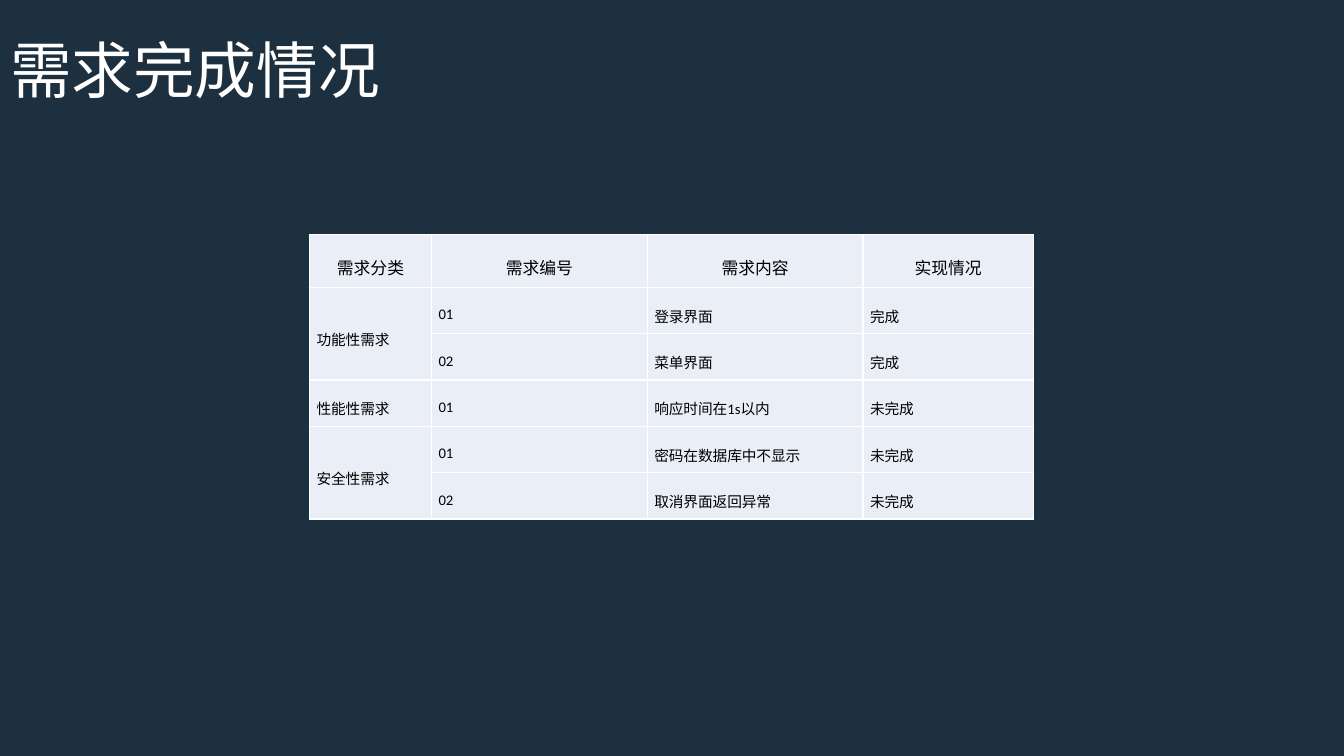
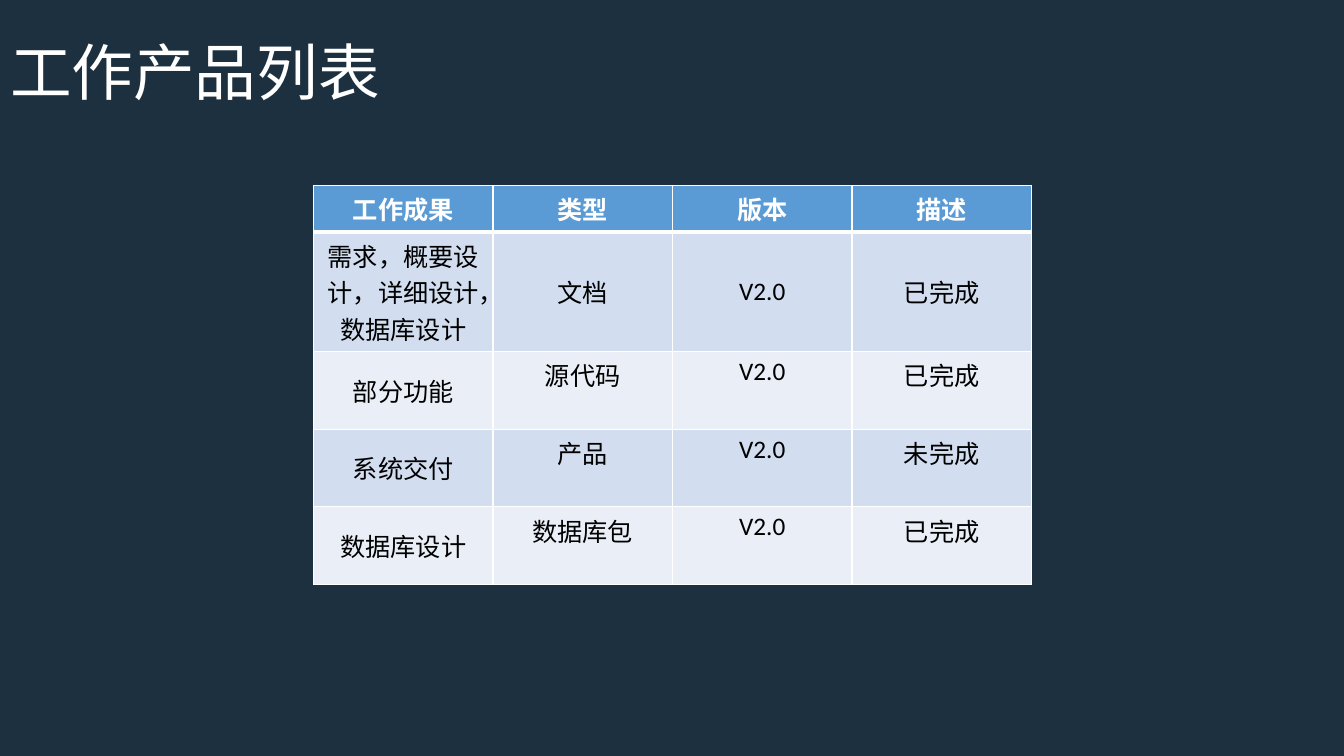
import pptx
import pptx.dml.color
import pptx.enum.lang
import pptx.enum.text
import pptx.oxml
import pptx.oxml.ns
import pptx.util

Inches = pptx.util.Inches
Pt = pptx.util.Pt
RGBColor = pptx.dml.color.RGBColor
ALIGN = pptx.enum.text.PP_ALIGN
ANCHOR = pptx.enum.text.MSO_ANCHOR

COLORS = {
    "background": "1D303F",
    "white": "FFFFFF",
    "black": "000000",
    "header": "5B9BD5",
    "band": "D2DEEF",
    "light": "EAEFF7",
}
FONT = "Calibri"


def format_paragraph(paragraph, size, color, alignment, bold=False):
    paragraph.alignment = alignment
    for run in paragraph.runs:
        run.font.name = FONT
        run.font.size = Pt(size)
        run.font.bold = bold
        run.font.color.rgb = RGBColor.from_string(COLORS[color])
        run.font.language_id = pptx.enum.lang.MSO_LANGUAGE_ID.SIMPLIFIED_CHINESE


def paint_cell(cell, fill, bottom_width=1):
    properties = cell._tc.get_or_add_tcPr()
    for side, width in (("L", 1), ("R", 1), ("T", 1), ("B", bottom_width)):
        properties.append(pptx.oxml.parse_xml(
            f'<a:ln{side} {pptx.oxml.ns.nsdecls("a")} w="{Pt(width)}">'
            f'<a:solidFill><a:srgbClr val="{COLORS["white"]}"/></a:solidFill>'
            f'</a:ln{side}>'
        ))
    cell.fill.solid()
    cell.fill.fore_color.rgb = RGBColor.from_string(COLORS[fill])


presentation = pptx.Presentation()
presentation.slide_width = Inches(13.33)
presentation.slide_height = Inches(7.5)
master_fill = presentation.slide_master.background.fill
master_fill.solid()
master_fill.fore_color.rgb = RGBColor.from_string(COLORS["background"])

requirements = [
    ["需求分类", "需求编号", "需求内容", "实现情况"],
    ["功能性需求", "01", "登录界面", "完成"],
    ["", "02", "菜单界面", "完成"],
    ["性能性需求", "01", "响应时间在1s以内", "未完成"],
    ["安全性需求", "01", "密码在数据库中不显示", "未完成"],
    ["", "02", "取消界面返回异常", "未完成"],
]
products = [
    ["工作成果", "类型", "版本", "描述"],
    ["需求，概要设计，详细设计，数据库设计", "文档", "V2.0", "已完成"],
    ["部分功能", "源代码", "V2.0", "已完成"],
    ["系统交付", "产品", "V2.0", "未完成"],
    ["数据库设计", "数据库包", "V2.0", "已完成"],
]
pages = [
    ("需求完成情况", 0, requirements, 3.07, 2.33,
     [1.21, 2.14, 2.14, 1.69], [0.52] + [0.46] * 5),
    ("工作产品列表", 0.02, products, 3.11, 1.84,
     [1.78] * 4, [0.46, 1.18] + [0.77] * 3),
]

tables = []
for title_text, title_top, rows, left, top, widths, heights in pages:
    slide = presentation.slides.add_slide(presentation.slide_layouts[5])
    title = slide.shapes.title
    title.left, title.top = Inches(0), Inches(title_top)
    title.width, title.height = Inches(11.5), Inches(1.45)
    title.text_frame.text = title_text
    title.text_frame.word_wrap = True
    title.text_frame.auto_size = pptx.enum.text.MSO_AUTO_SIZE.NONE
    title.text_frame.vertical_anchor = ANCHOR.MIDDLE
    title_paragraph = title.text_frame.paragraphs[0]
    title_paragraph.line_spacing = 0.9
    format_paragraph(title_paragraph, 44, "white", ALIGN.LEFT)

    table = slide.shapes.add_table(
        len(rows), len(widths), Inches(left), Inches(top),
        Inches(sum(widths)), Inches(sum(heights)),
    ).table
    for column, width in zip(table.columns, widths):
        column.width = Inches(width)
    for row, height, texts in zip(table.rows, heights, rows):
        row.height = Inches(height)
        for cell, text in zip(row.cells, texts):
            cell.text_frame.text = text
            cell.vertical_anchor = ANCHOR.MIDDLE
    tables.append(table)

requirement_table, product_table = tables

requirement_table.first_row = False
requirement_table.horz_banding = False
for row_index, row in enumerate(requirement_table.rows):
    size, alignment = (10.5, ALIGN.JUSTIFY) if row_index else (12, ALIGN.CENTER)
    for cell in row.cells:
        cell.margin_left = cell.margin_right = Inches(0.07)
        cell.margin_top = cell.margin_bottom = Inches(0)
        paragraph = cell.text_frame.paragraphs[0]
        paragraph.line_spacing = 1.5
        format_paragraph(paragraph, size, "black", alignment)
        paragraph_properties = paragraph._p.get_or_add_pPr()
        paragraph_properties.set("marL", str(Inches(0.32)))
        paragraph_properties.set("indent", str(Inches(-0.32)))
        paint_cell(cell, "light")
for first_row in (1, 4):
    requirement_table.cell(first_row, 0).merge(requirement_table.cell(first_row + 1, 0))

for row_index, row in enumerate(product_table.rows):
    is_header = row_index == 0
    fill = "header" if is_header else ("light", "band")[row_index % 2]
    for column_index, cell in enumerate(row.cells):
        if row_index > 1 and column_index > 0:
            cell.vertical_anchor = ANCHOR.TOP
        format_paragraph(
            cell.text_frame.paragraphs[0], 18,
            "white" if is_header else "black", ALIGN.CENTER, is_header,
        )
        paint_cell(cell, fill, 3 if is_header else 1)

presentation.save("out.pptx")
